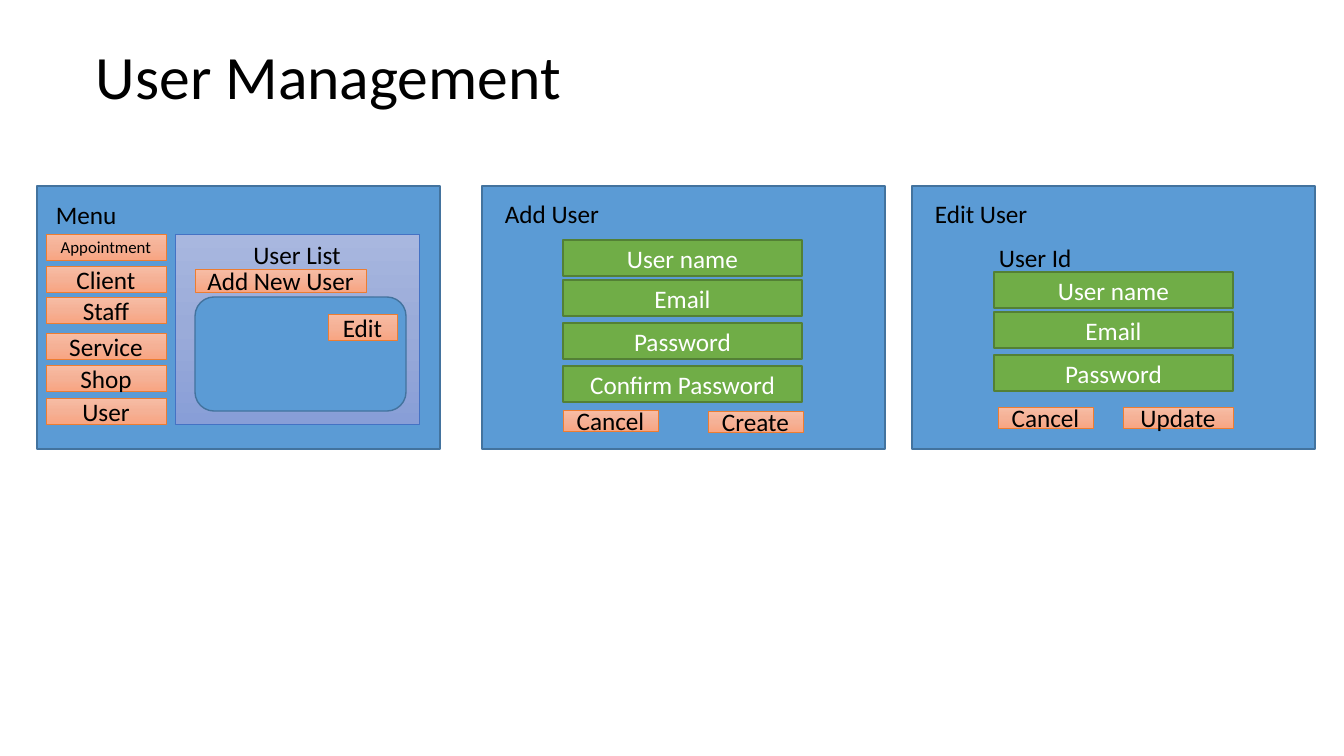
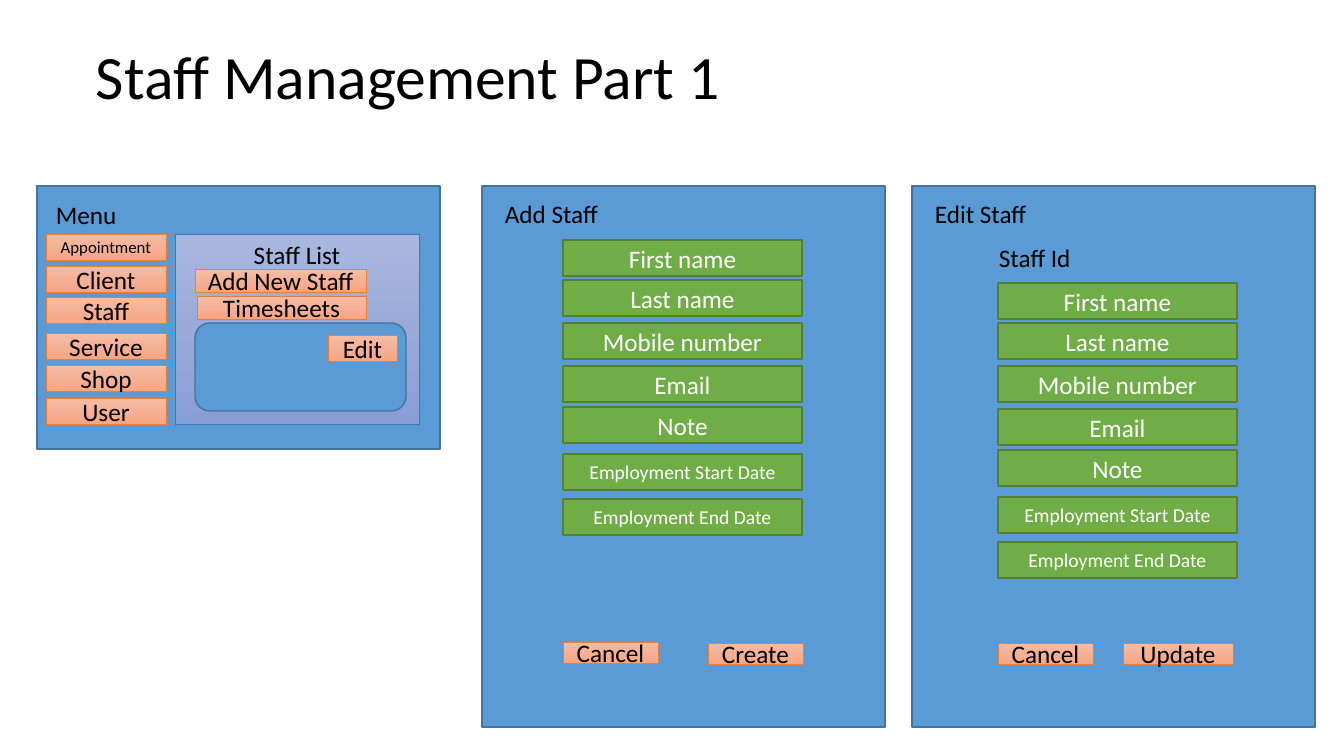
from copy import deepcopy

from pptx import Presentation
from pptx.dml.color import RGBColor
from pptx.enum.shapes import MSO_SHAPE
from pptx.enum.text import MSO_ANCHOR, PP_ALIGN
from pptx.oxml.ns import qn
from pptx.util import Emu, Pt

EMU_PER_PIXEL = 914400 / 100.8
FONT = "Calibri"
BLACK = RGBColor(0x00, 0x00, 0x00)
WHITE = RGBColor(0xFF, 0xFF, 0xFF)
BLUE = RGBColor(0x5B, 0x9B, 0xD5)
BLUE_EDGE = RGBColor(0x43, 0x73, 0x9E)
GREEN = RGBColor(0x70, 0xAD, 0x47)
GREEN_EDGE = RGBColor(0x53, 0x80, 0x35)
ORANGE_EDGE = RGBColor(0xED, 0x7D, 0x31)
ORANGE_FADE = [RGBColor(0xF7, 0xBD, 0xA5), RGBColor(0xF5, 0xB1, 0x96), RGBColor(0xF8, 0xA5, 0x82)]
INDIGO_EDGE = RGBColor(0x44, 0x72, 0xC4)
INDIGO_FADE = [RGBColor(0xA8, 0xB7, 0xDF), RGBColor(0x9A, 0xAB, 0xD9), RGBColor(0x88, 0x9E, 0xD7)]

MENU = [("Appointment", 234), ("Client", 266), ("Staff", 297),
        ("Service", 333), ("Shop", 365), ("User", 398)]
FIELD_OFFSETS = [0, 40, 83, 126, 167, 214, 259]
USER_FIELDS = ["User name", "Email", "Password"]
STAFF_FIELDS = ["First name", "Last name", "Mobile number", "Email", "Note",
                "Employment Start Date", "Employment End Date"]
ADD_LEFT, EDIT_LEFT = 482, 912


def px(*lengths):
    return [Emu(round(length * EMU_PER_PIXEL)) for length in lengths]


def write(frame, text, size, color, align=PP_ALIGN.LEFT, anchor=MSO_ANCHOR.TOP):
    frame.text = text
    frame.vertical_anchor = anchor
    paragraph = frame.paragraphs[0]
    paragraph.alignment = align
    for run in paragraph.runs:
        run.font.name = FONT
        run.font.size = Pt(size)
        run.font.color.rgb = color


def add_label(slide, text, left, top, width):
    label = slide.shapes.add_textbox(*px(left, top, width, 40))
    label.text_frame.word_wrap = False
    write(label.text_frame, text, 18, BLACK)


def add_title(slide, text):
    title = slide.shapes.add_textbox(*px(86, 34, 1159, 91))
    title.text_frame.word_wrap = True
    write(title.text_frame, text, 44, BLACK, anchor=MSO_ANCHOR.MIDDLE)
    title.text_frame.paragraphs[0].line_spacing = 0.9


def add_block(slide, box, edge, edge_width, kind=MSO_SHAPE.RECTANGLE):
    block = slide.shapes.add_shape(kind, *px(*box))
    block.shadow.inherit = False
    block.line.color.rgb = edge
    block.line.width = Pt(edge_width)
    return block


def add_panel(slide, box, kind=MSO_SHAPE.RECTANGLE):
    panel = add_block(slide, box, BLUE_EDGE, 1, kind)
    panel.fill.solid()
    panel.fill.fore_color.rgb = BLUE


def fade(block, colors):
    block.fill.gradient()
    block.fill.gradient_angle = 270
    stop_list = block.element.spPr.find(".//" + qn("a:gsLst"))
    stop_list.insert(1, deepcopy(stop_list[0]))
    for stop, color, position in zip(block.fill.gradient_stops, colors, (0, 0.5, 1)):
        stop.color.rgb = color
        stop.position = position


def add_button(slide, text, left, top, width, height, size=18):
    button = add_block(slide, (left, top, width, height), ORANGE_EDGE, 0.5)
    fade(button, ORANGE_FADE)
    write(button.text_frame, text, size, BLACK, PP_ALIGN.CENTER, MSO_ANCHOR.MIDDLE)


def add_fields(slide, names, left, top):
    for name, offset in zip(names, FIELD_OFFSETS):
        field = add_block(slide, (left, top + offset, 239, 36), GREEN_EDGE, 1)
        field.fill.solid()
        field.fill.fore_color.rgb = GREEN
        size = 14 if name.startswith("Employment") else 18
        write(field.text_frame, name, size, WHITE, PP_ALIGN.CENTER, MSO_ANCHOR.MIDDLE)


def add_menu_screen(slide, entity, list_top, edit_top):
    add_panel(slide, (37, 186, 403, 263))
    add_label(slide, "Menu", 46, 194, 82)
    for name, top in MENU:
        add_button(slide, name, 46, top, 120, 26, 12 if name == "Appointment" else 18)
    listing = add_block(slide, (175, 234, 244, 190), INDIGO_EDGE, 0.5)
    fade(listing, INDIGO_FADE)
    write(listing.text_frame, f"{entity} List", 18, BLACK, PP_ALIGN.CENTER)
    add_panel(slide, (195, list_top, 211, 411 - list_top), MSO_SHAPE.FLOWCHART_ALTERNATE_PROCESS)
    add_button(slide, f"Add New {entity}", 195, 269, 171, 23)
    add_button(slide, "Edit", 328, edit_top, 69, 26)


def add_form(slide, heading, left, height, fields, field_left, field_top):
    add_panel(slide, (left, 186, 403, height))
    add_label(slide, heading, left + 13, 193, 115)
    add_fields(slide, fields, field_left, field_top)


def add_screens(slide, entity, height, add_names, edit_names, edit_field_at, add_foot, edit_foot):
    add_form(slide, f"Add {entity}", ADD_LEFT, height, add_names, 563, 240)
    add_button(slide, "Cancel", 563, add_foot, 95, 21)
    add_button(slide, "Create", 708, add_foot + 1, 95, 21)
    add_form(slide, f"Edit {entity}", EDIT_LEFT, height, edit_names, *edit_field_at)
    add_label(slide, f"{entity} Id", 989, 237, 93)
    add_button(slide, "Cancel", 998, edit_foot, 95, 21)
    add_button(slide, "Update", 1123, edit_foot, 110, 21)


def main():
    deck = Presentation()
    deck.slide_width, deck.slide_height = px(1344, 756)
    blank = deck.slide_layouts[6]

    users = deck.slides.add_slide(blank)
    add_title(users, "User Management")
    add_menu_screen(users, "User", 297, 314)
    add_screens(users, "User", 263, USER_FIELDS + ["Confirm Password"], USER_FIELDS,
                (994, 272), 410, 407)

    staff = deck.slides.add_slide(blank)
    add_title(staff, "Staff Management Part 1")
    add_menu_screen(staff, "Staff", 323, 335)
    add_button(staff, "Timesheets", 197, 296, 169, 23)
    add_screens(staff, "Staff", 541, STAFF_FIELDS, STAFF_FIELDS, (998, 283), 642, 643)

    deck.save("out.pptx")


main()
